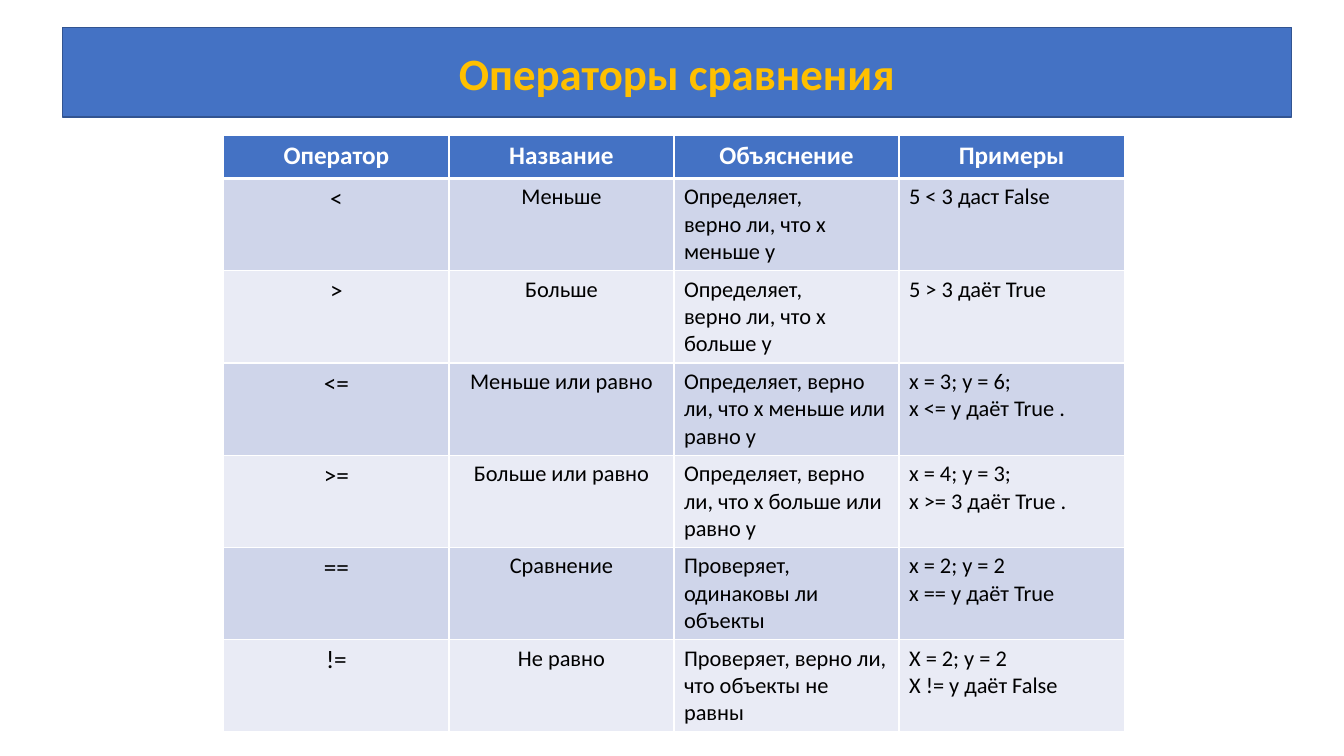
from dataclasses import dataclass

from lxml.etree import SubElement
from pptx import Presentation
from pptx.dml.color import RGBColor
from pptx.enum.shapes import MSO_SHAPE
from pptx.enum.text import MSO_ANCHOR, PP_ALIGN
from pptx.oxml import parse_xml
from pptx.oxml.ns import nsdecls, qn
from pptx.util import Inches, Pt


@dataclass(frozen=True)
class Theme:
    font: str = "Calibri"
    blue: str = "4472C4"
    edge: str = "325491"
    gold: str = "FFC000"
    white: str = "FFFFFF"
    black: str = "000000"
    bands: tuple = ("CFD5EA", "E9EBF5")
    title_size: int = 32
    large_size: int = 18
    body_size: int = 16


THEME = Theme()

HEADINGS = ["Оператор", "Название", "Объяснение", "Примеры"]
OPERATORS = [
    ("<", "Меньше", "Определяет,\nверно ли, что x\nменьше y", "5 < 3 даст False"),
    (">", "Больше", "Определяет,\nверно ли, что x\nбольше y", "5 > 3 даёт True"),
    ("<=", "Меньше или равно", "Определяет, верно ли, что x меньше или\nравно y",
     "x = 3; y = 6;\nx <= y даёт True ."),
    (">=", "Больше или равно", "Определяет, верно ли, что x больше или\nравно y",
     "x = 4; y = 3;\nx >= 3 даёт True ."),
    ("==", "Сравнение", "Проверяет,\nодинаковы ли\nобъекты", "x = 2; y = 2\nx == y даёт True"),
    ("!=", "Не равно", "Проверяет, верно ли, что объекты не\nравны",
     "X = 2; y = 2\nX != y даёт False"),
]


def paint(target, color):
    target.solid()
    target.fore_color.rgb = RGBColor.from_string(color)


def write(frame, text, color, align, **font_format):
    frame.text = text
    for para in frame.paragraphs:
        para.alignment = align
        for span in para.runs:
            span.font.color.rgb = RGBColor.from_string(color)
            for name, value in {"name": THEME.font, **font_format}.items():
                setattr(span.font, name, value)


def outline_text(frame, color):
    for para in frame.paragraphs:
        for span in para.runs:
            line = parse_xml(
                f'<a:ln {nsdecls("a")} w="{Pt(1)}"><a:solidFill>'
                f'<a:srgbClr val="{color}"/></a:solidFill></a:ln>'
            )
            span.font._element.insert(0, line)


def add_title(page, text):
    box = page.shapes.add_shape(
        MSO_SHAPE.RECTANGLE, Inches(0.62), Inches(0.27), Inches(12.19), Inches(0.89)
    )
    box.shadow.inherit = False
    paint(box.fill, THEME.blue)
    paint(box.line.fill, THEME.edge)
    box.line.width = Pt(1)
    frame = box.text_frame
    for name, value in {"word_wrap": True, "vertical_anchor": MSO_ANCHOR.MIDDLE}.items():
        setattr(frame, name, value)
    write(frame, text, THEME.gold, PP_ALIGN.CENTER, size=Pt(THEME.title_size), bold=True)
    outline_text(frame, THEME.gold)


def set_borders(cell, top, bottom):
    properties = cell._tc.get_or_add_tcPr()
    widths = {"lnL": 1, "lnR": 1, "lnT": top, "lnB": bottom}
    for side, width in widths.items():
        line = SubElement(properties, qn(f"a:{side}"), w=str(Pt(width)))
        fill = SubElement(line, qn("a:solidFill"))
        SubElement(fill, qn("a:srgbClr"), val=THEME.white)


def fill_cell(cell, text, row, column):
    header = row == 0
    set_borders(cell, top=3 if row == 1 else 1, bottom=3 if header else 1)
    paint(cell.fill, THEME.blue if header else THEME.bands[(row - 1) % 2])
    large = header or column == 0
    write(
        cell.text_frame,
        text,
        THEME.white if header else THEME.black,
        PP_ALIGN.CENTER if header or column < 2 else PP_ALIGN.LEFT,
        size=Pt(THEME.large_size if large else THEME.body_size),
        bold=header,
    )


def add_operator_table(page):
    content = [HEADINGS, *OPERATORS]
    table = page.shapes.add_table(
        len(content), len(HEADINGS), Inches(2.22), Inches(1.34), Inches(8.93), Inches(5.83)
    ).table
    for row, texts in enumerate(content):
        table.rows[row].height = Inches(0.9 if row else 0.43)
        for column, text in enumerate(texts):
            fill_cell(table.cell(row, column), text, row, column)


def main():
    deck = Presentation()
    for name, value in {"slide_width": 13.33, "slide_height": 7.5}.items():
        setattr(deck, name, Inches(value))
    page = deck.slides.add_slide(deck.slide_layouts[6])
    add_title(page, "Операторы сравнения")
    add_operator_table(page)
    deck.save("out.pptx")


if __name__ == "__main__":
    main()
